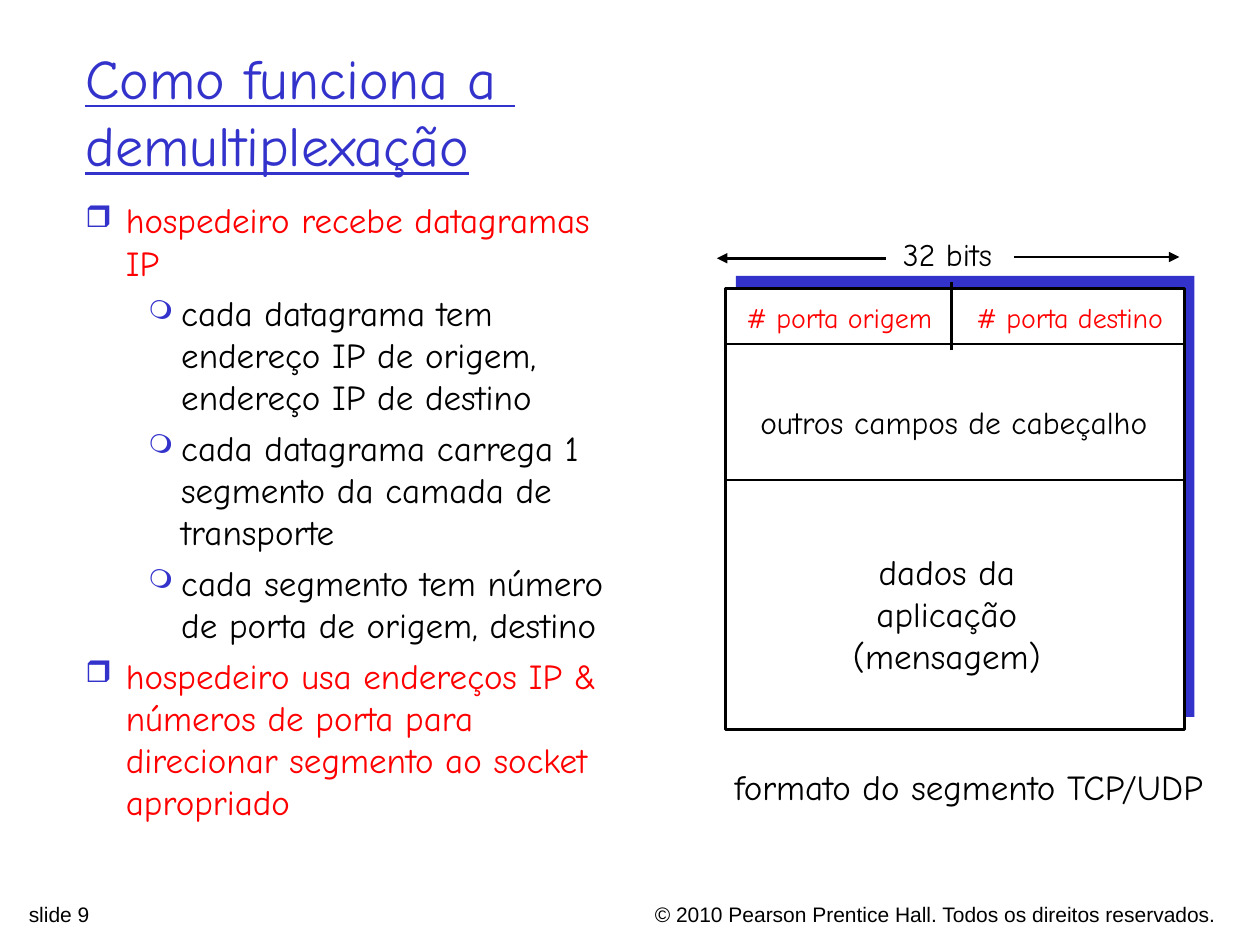
import pptx
import pptx.util
import pptx.dml.color
import pptx.enum.shapes
import pptx.enum.text
import pptx.oxml.ns
from lxml import etree

Inches = pptx.util.Inches
Pt = pptx.util.Pt
qn = pptx.oxml.ns.qn
ALIGN = pptx.enum.text.PP_ALIGN
COLORS = {"blue": "3333CC", "red": "FF0000", "black": "000000", "white": "FFFFFF"}


def color(name):
    return pptx.dml.color.RGBColor.from_string(COLORS[name])


class Deck:
    """Hold the style and the current slide, and draw each kind of element."""

    font = "Comic Neue"
    stroke = Pt(1.5)
    marks = (("❒", 85, 0.32, 0.32), ("❍", 75, 0.76, 0.26))

    def __init__(self):
        self.prs = pptx.Presentation()
        self.prs.slide_width, self.prs.slide_height = Inches(10), Inches(7.5)
        self.slide = self.prs.slides.add_slide(self.prs.slide_layouts[6])

    def style(self, para, size, ink, font=None):
        for run in para.runs:
            run.font.name = font or self.font
            run.font.size = Pt(size)
            run.font.color.rgb = color(ink)

    def text(self, box, words, size, ink="black", align=ALIGN.LEFT, font=None, wrap=True):
        shape = self.slide.shapes.add_textbox(*map(Inches, box))
        frame = shape.text_frame
        frame.text = words
        frame.word_wrap = wrap
        for para in frame.paragraphs:
            para.alignment = align
            self.style(para, size, ink, font)
        return frame

    def label(self, box, words, size, ink="black"):
        frame = self.text(box, words, size, ink, ALIGN.CENTER, wrap=False)
        frame.auto_size = pptx.enum.text.MSO_AUTO_SIZE.SHAPE_TO_FIT_TEXT

    def title(self, box, words):
        frame = self.text(box, words, 32, "blue")
        frame.vertical_anchor = pptx.enum.text.MSO_ANCHOR.MIDDLE
        for run in frame.paragraphs[0].runs:
            run.font.underline = True

    def bullets(self, box, items):
        frame = self.text(box, "\n".join(words for _, words in items), 20)
        for i, (para, (level, _)) in enumerate(zip(frame.paragraphs, items)):
            mark, scale, left, hang = self.marks[level]
            props = para._p.get_or_add_pPr()
            props.set("marL", str(Inches(left)))
            props.set("indent", str(-Inches(hang)))
            tint = etree.SubElement(props, qn("a:buClr"))
            etree.SubElement(tint, qn("a:srgbClr"), val=COLORS["blue"])
            etree.SubElement(props, qn("a:buSzPct"), val=str(scale * 1000))
            etree.SubElement(props, qn("a:buChar"), char=mark)
            para.level = level
            para.space_before = Pt(5 if i else 0)
            self.style(para, 20, "black" if level else "red")

    def rect(self, box, fill, line=None):
        kind = pptx.enum.shapes.MSO_SHAPE.RECTANGLE
        shape = self.slide.shapes.add_shape(kind, *map(Inches, box))
        shape.shadow.inherit = False
        shape.fill.solid()
        shape.fill.fore_color.rgb = color(fill)
        if line:
            shape.line.color.rgb = color(line)
            shape.line.width = self.stroke
        else:
            shape.line.fill.background()

    def line(self, start, end, arrow=False):
        kind = pptx.enum.shapes.MSO_CONNECTOR.STRAIGHT
        link = self.slide.shapes.add_connector(kind, *map(Inches, start + end))
        link.line.color.rgb = color("black")
        link.line.width = self.stroke
        if arrow:
            etree.SubElement(link.line._get_or_add_ln(), qn("a:tailEnd"), type="triangle")
        etree.SubElement(link._element.spPr, qn("a:effectLst"))


def main():
    deck = Deck()
    deck.text((4.64, 7.11, 5.11, 0.24),
              "© 2010 Pearson Prentice Hall. Todos os direitos reservados.",
              12, align=ALIGN.RIGHT, font="Arial")
    deck.text((0.13, 7.11, 3.52, 0.23), "slide 9", 12, font="Arial")

    deck.title((0.58, 0.25, 8.5, 1.25), "Como funciona a \vdemultiplexação")
    deck.bullets((0.58, 1.53, 4.42, 4.42), [
        (0, "hospedeiro recebe datagramas IP"),
        (1, "cada datagrama tem endereço IP de origem, endereço IP de destino"),
        (1, "cada datagrama carrega 1 segmento da camada de transporte"),
        (1, "cada segmento tem número de porta de origem, destino"),
        (0, "hospedeiro usa endereços IP & números de porta para direcionar "
            "segmento ao socket apropriado"),
    ])

    left, top, width, height = 5.76, 2.29, 3.64, 3.5
    deck.rect((left + 0.08, top - 0.1, width, height), "blue")
    deck.rect((left, top, width, height), "white", "black")
    for y in (2.73, 3.81):
        deck.line((left, y), (left + width, y))
    deck.line((7.55, 2.78), (7.55, 2.24))
    deck.line((8.05, 2.04), (9.36, 2.04), arrow=True)
    deck.line((7.03, 2.05), (5.69, 2.05), arrow=True)

    deck.label((5.82, 2.34, 1.68, 0.37), "# porta origem", 16, "red")
    deck.label((7.65, 2.34, 1.68, 0.37), "# porta destino", 16, "red")
    deck.label((7.02, 1.82, 1, 0.4), "32 bits", 18)
    deck.label((5.93, 3.15, 3.28, 0.4), "outros campos de cabeçalho", 18)
    deck.label((6.67, 4.32, 1.69, 1.1), "dados da\naplicação\n(mensagem)", 20)
    deck.label((5.7, 6.03, 3.98, 0.44), "formato do segmento TCP/UDP", 20)
    deck.prs.save("out.pptx")


if __name__ == "__main__":
    main()
